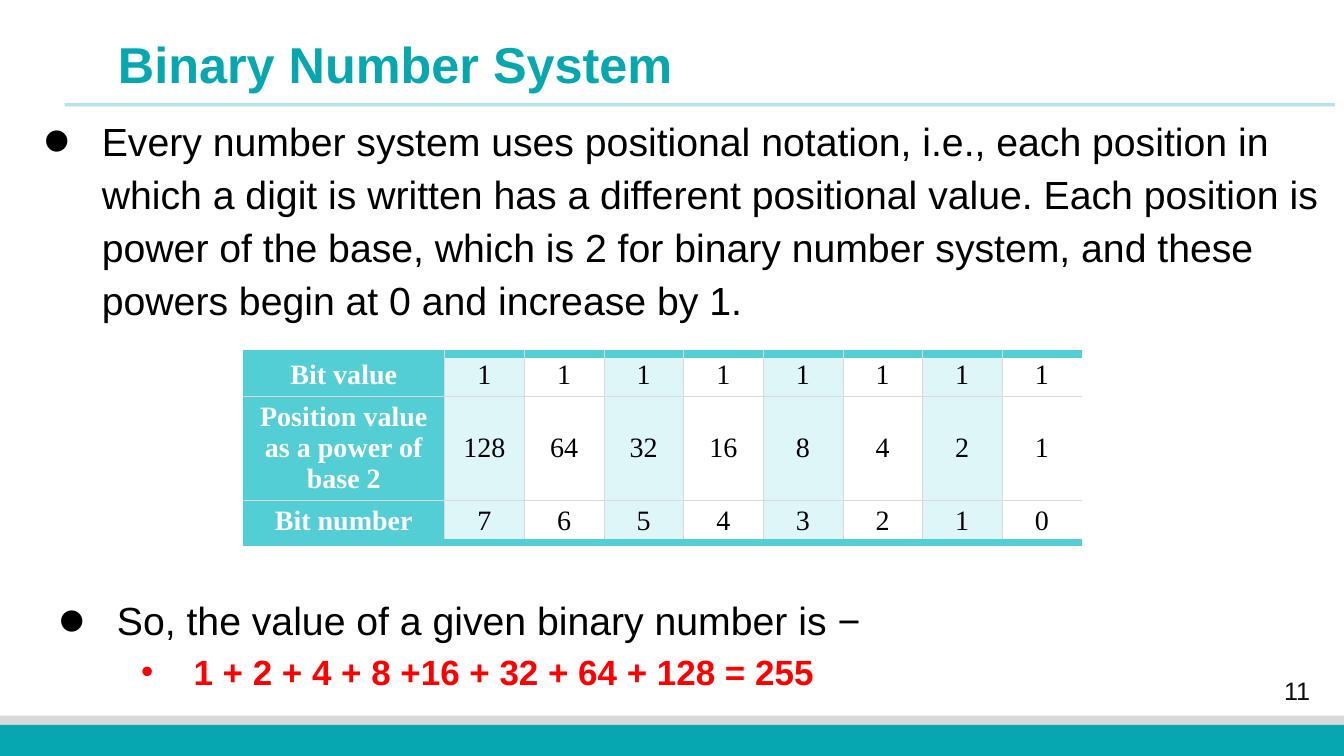
import pptx
import pptx.dml.color
import pptx.enum.shapes
import pptx.enum.text
import pptx.oxml
import pptx.oxml.ns
import pptx.util
from lxml import etree

Inches = pptx.util.Inches
Pt = pptx.util.Pt
RGBColor = pptx.dml.color.RGBColor
ALIGN = pptx.enum.text.PP_ALIGN
ANCHOR = pptx.enum.text.MSO_ANCHOR
qn = pptx.oxml.ns.qn

TEAL = RGBColor(0x07, 0xA7, 0xAF)
AQUA = RGBColor(0x53, 0xCE, 0xD5)
PALE_AQUA = RGBColor(0xDE, 0xF6, 0xF7)
GREY = RGBColor(0xD9, 0xD9, 0xD9)
INK = RGBColor(0x0D, 0x0D, 0x0D)
BLACK = RGBColor(0, 0, 0)
WHITE = RGBColor(0xFF, 0xFF, 0xFF)
RED = RGBColor(0xFF, 0, 0)

THIN = (GREY, 0.25)
THICK = (AQUA, 6)

BIT_ROWS = [
    ["Bit value"] + ["1"] * 8,
    ["Position value as a power of base 2"] + [str(2 ** bit) for bit in range(7, -1, -1)],
    ["Bit number"] + [str(bit) for bit in range(7, -1, -1)],
]


class SlideBuilder:
    text_font = "Arial"
    table_font = "Times New Roman"

    def __init__(self, page):
        self.page = page

    def style(self, para, size, color, bold=False, font=None):
        for span in para.runs:
            span.font.name = font or self.text_font
            span.font.size = Pt(size)
            span.font.bold = bold
            span.font.color.rgb = color

    def place(self, shape, left, top, width, height):
        shape.left, shape.top = Inches(left), Inches(top)
        shape.width, shape.height = Inches(width), Inches(height)
        frame = shape.text_frame
        frame.word_wrap = True
        frame.auto_size = pptx.enum.text.MSO_AUTO_SIZE.NONE
        frame.vertical_anchor = ANCHOR.TOP
        return frame

    def title(self, text, *area):
        frame = self.place(self.page.shapes.title, *area)
        frame.text = text
        para = frame.paragraphs[0]
        para.alignment = ALIGN.LEFT
        para.line_spacing = 0.9
        self.style(para, 36, TEAL, bold=True)

    def bullets(self, index, area, pitch, items):
        """Fill a body placeholder with (text, level, size, color, bold) items."""
        frame = self.place(self.page.placeholders[index], *area)
        frame.text = "\n".join(item[0] for item in items)
        for para, (_, level, size, color, bold) in zip(frame.paragraphs, items):
            para.level = level
            para.line_spacing = Pt(pitch)
            para.space_before = Pt(0)
            margin, hanging, scale = [(0.62, 0.58, 200), (1.38, 0.52, 100)][level]
            properties = para._p.get_or_add_pPr()
            properties.set("marL", str(Inches(margin)))
            properties.set("indent", str(-Inches(hanging)))
            etree.SubElement(properties, qn("a:buSzPct"), val=str(scale * 1000))
            etree.SubElement(properties, qn("a:buChar"), char="•")
            self.style(para, size, color, bold)

    def bar(self, top, height, color):
        shape = self.page.shapes.add_shape(
            pptx.enum.shapes.MSO_SHAPE.RECTANGLE,
            Inches(0), Inches(top), Inches(13.33), Inches(height))
        shape.shadow.inherit = False
        shape.fill.solid()
        shape.fill.fore_color.rgb = color
        shape.line.fill.background()

    def rule(self, left, right, top):
        line = self.page.shapes.add_connector(
            pptx.enum.shapes.MSO_CONNECTOR.STRAIGHT,
            Inches(left), Inches(top), Inches(right), Inches(top))
        line.line.color.rgb = TEAL
        line.line.width = Pt(2.25)
        properties = line._element.spPr
        color = properties.find(".//" + qn("a:srgbClr"))
        etree.SubElement(color, qn("a:alpha"), val="30000")
        etree.SubElement(properties, qn("a:effectLst"))

    def page_number(self, text, *area):
        box = self.page.shapes.add_textbox(*map(Inches, area))
        frame = self.place(box, *area)
        frame.vertical_anchor = ANCHOR.MIDDLE
        frame.text = text
        para = frame.paragraphs[0]
        para.alignment = ALIGN.CENTER
        self.style(para, 18, INK)

    def border(self, cell, side, line):
        """Draw one side (L, R, T or B) as (color, points), or hide it if None."""
        properties = cell._tc.get_or_add_tcPr()
        edge = etree.SubElement(properties, qn("a:ln" + side))
        if line is None:
            etree.SubElement(edge, qn("a:noFill"))
            return
        color, points = line
        edge.set("w", str(Pt(points)))
        fill = etree.SubElement(edge, qn("a:solidFill"))
        etree.SubElement(fill, qn("a:srgbClr"), val=str(color))

    def table(self, rows, left, top, widths, heights):
        table = self.page.shapes.add_table(
            len(rows), len(widths), Inches(left), Inches(top),
            Inches(sum(widths)), Inches(sum(heights))).table
        table.first_row = table.horz_banding = False
        for column, width in zip(table.columns, widths):
            column.width = Inches(width)
        for row, height in zip(table.rows, heights):
            row.height = Inches(height)
        last_row, last_column = len(rows) - 1, len(widths) - 1
        for r, values in enumerate(rows):
            for c, value in enumerate(values):
                cell = table.cell(r, c)
                self.border(cell, "L", THIN if c > 0 else None)
                self.border(cell, "R", THIN if c < last_column else None)
                self.border(cell, "T", THIN if r > 0 else THICK)
                self.border(cell, "B", THIN if r < last_row else THICK)
                heading = c == 0
                cell.fill.solid()
                cell.fill.fore_color.rgb = AQUA if heading else PALE_AQUA if c % 2 else WHITE
                cell.vertical_anchor = ANCHOR.MIDDLE
                cell.text_frame.text = value
                para = cell.text_frame.paragraphs[0]
                para.alignment = ALIGN.CENTER
                self.style(para, 20, WHITE if heading else BLACK, heading, self.table_font)


def main():
    deck = pptx.Presentation()
    deck.slide_width, deck.slide_height = Inches(13.33), Inches(7.5)
    two_content = deck.slide_layouts[3]
    builder = SlideBuilder(deck.slides.add_slide(two_content))

    builder.bar(7.1, 0.4, GREY)
    builder.bar(7.19, 0.31, TEAL)
    builder.rule(0.64, 13.24, 1.04)
    builder.page_number("11", 12.41, 6.65, 0.91, 0.39)
    builder.title("Binary Number System", 1.07, 0.35, 11.37, 0.48)
    builder.bullets(1, (0.29, 1.05, 12.97, 2.76), 38, [
        ("Every number system uses positional notation, i.e., each position in "
         "which a digit is written has a different positional value. Each position "
         "is power of the base, which is 2 for binary number system, and these "
         "powers begin at 0 and increase by 1.", 0, 28, BLACK, False),
    ])
    builder.bullets(2, (0.44, 5.85, 10.97, 1.08), 35, [
        ("So, the value of a given binary number is −", 0, 28, BLACK, False),
        ("1 + 2 + 4 + 8 +16 + 32 + 64 + 128 = 255", 1, 25, RED, True),
    ])
    builder.table(BIT_ROWS, 2.41, 3.51, [2] + [0.79] * 8, [0.42, 1.03, 0.42])

    deck.save("out.pptx")


if __name__ == "__main__":
    main()
